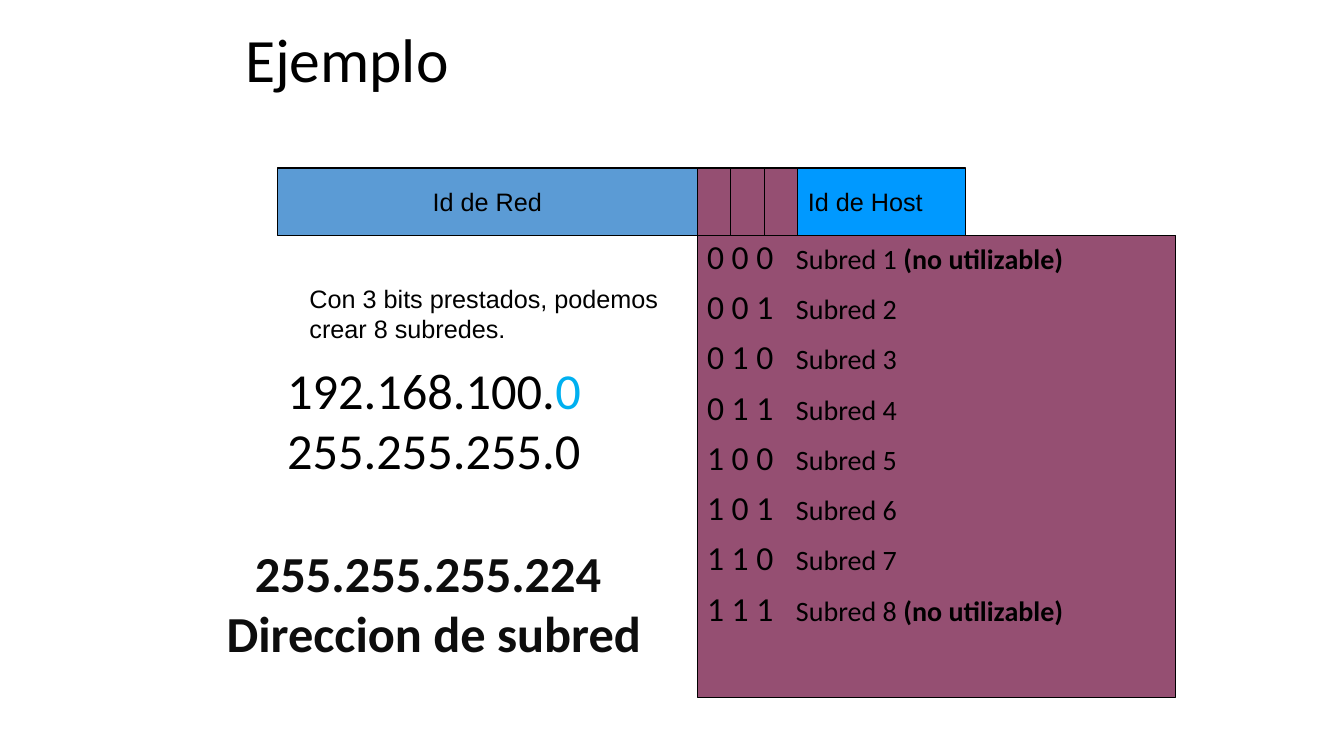
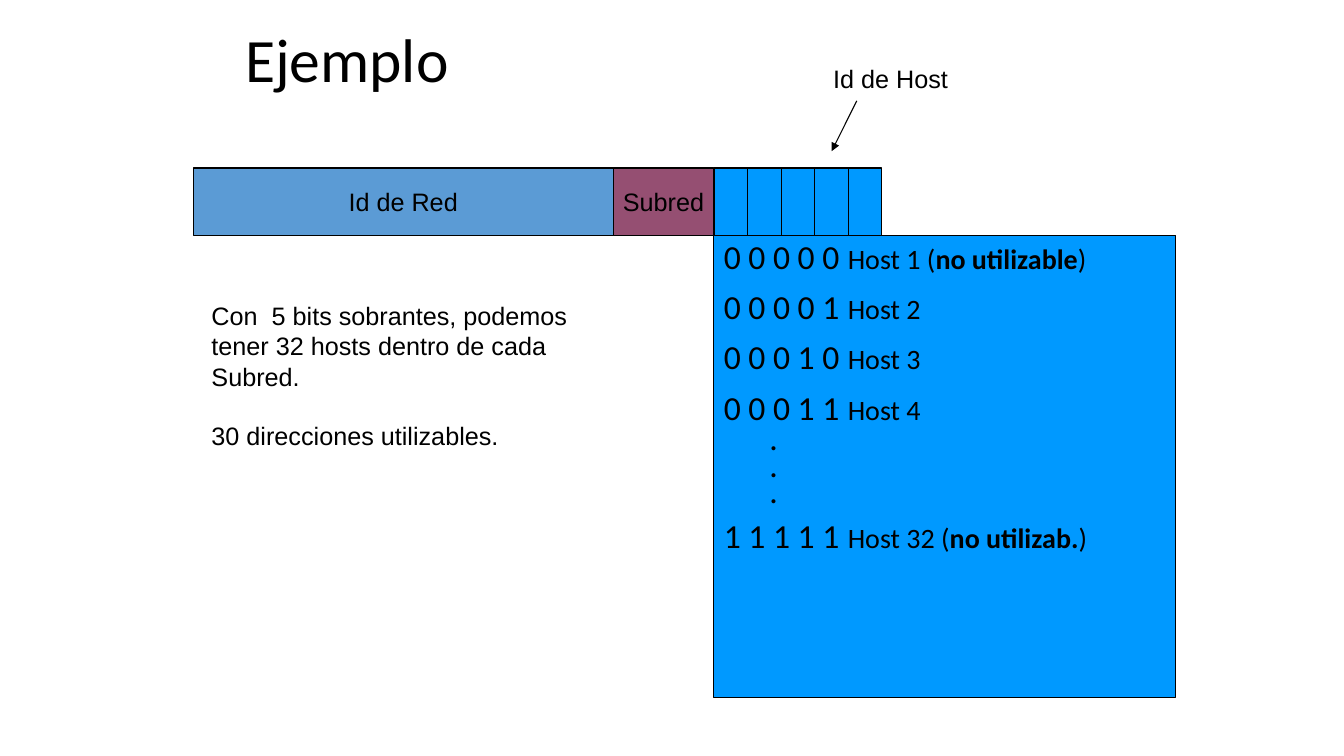
from lxml import etree
from pptx import Presentation
from pptx.dml.color import RGBColor
from pptx.enum.shapes import MSO_CONNECTOR, MSO_SHAPE
from pptx.enum.text import MSO_ANCHOR, MSO_AUTO_SIZE, PP_ALIGN
from pptx.oxml.ns import qn
from pptx.util import Pt

RECTANGLE = MSO_SHAPE.RECTANGLE
STRAIGHT = MSO_CONNECTOR.STRAIGHT
MIDDLE, TOP = MSO_ANCHOR.MIDDLE, MSO_ANCHOR.TOP
LEFT, CENTER = PP_ALIGN.LEFT, PP_ALIGN.CENTER
FIT_SHAPE = MSO_AUTO_SIZE.SHAPE_TO_FIT_TEXT

BLACK, NETWORK, SUBNET, HOST = "000000", "5B9BD5", "954F72", "0099FF"
ACCENT, DARK = "00B0F0", "0D0D0D"
HEADING_FONT, NOTE_FONT = "Calibri", "Arial"

BAR_TOP, BAR_HEIGHT, BIT_WIDTH = 120, 48, 24
NETWORK_WIDTH, PANEL_RIGHT, PANEL_HEIGHT = 300, 840, 330
DOT_INDENT = 32.5

SLIDES = [
    {
        "bar_left": 198,
        "fields": [
            ("Id de Red", NETWORK, NETWORK_WIDTH, 1, CENTER),
            ("", SUBNET, 3 * BIT_WIDTH, 3, CENTER),
            ("Id de Host", HOST, 5 * BIT_WIDTH, 1, LEFT),
        ],
        "panel_field": 1,
        "label_indent": 63.5,
        "rows": [
            ("0 0 0", [("Subred 1 ", False), ("(no utilizable)", True)]),
            ("0 0 1", [("Subred 2", False)]),
            ("0 1 0", [("Subred 3", False)]),
            ("0 1 1", [("Subred 4", False)]),
            ("1 0 0", [("Subred 5", False)]),
            ("1 0 1", [("Subred 6", False)]),
            ("1 1 0", [("Subred 7", False)]),
            ("1 1 1", [("Subred 8 ", False), ("(no utilizable)", True)]),
        ],
        "notes": [
            ((214, 199, 266, 51),
             [("Con 3 bits prestados, podemos", 0), ("crear 8 subredes.", 0)]),
        ],
        "addresses": [
            ([("192.168.100.", BLACK, False), ("0", ACCENT, False)], 0),
            ([("255.255.255.0", BLACK, False)], 0),
            ([("255.255.255.224 ", DARK, True)], 44),
            ([("Direccion de subred", DARK, True)], 0),
        ],
        "arrow": None,
    },
    {
        "bar_left": 138,
        "fields": [
            ("Id de Red", NETWORK, NETWORK_WIDTH, 1, CENTER),
            ("Subred", SUBNET, 3 * BIT_WIDTH, 1, CENTER),
            ("", HOST, 5 * BIT_WIDTH, 5, CENTER),
        ],
        "panel_field": 2,
        "label_indent": 88.5,
        "rows": [
            ("0 0 0 0 0", [("Host 1 (", False), ("no utilizable", True), (")", False)]),
            ("0 0 0 0 1", [("Host 2", False)]),
            ("0 0 0 1 0", [("Host 3", False)]),
            ("0 0 0 1 1", [("Host 4", False)]),
            (".", []),
            (".", []),
            (".", []),
            ("1 1 1 1 1", [("Host 32 (", False), ("no utilizab.", True), (")", False)]),
        ],
        "notes": [
            ((144, 211, 271, 117),
             [("Con  5 bits sobrantes, podemos", 0),
              ("tener 32 hosts dentro de cada", 0),
              ("Subred.", 0),
              ("30 direcciones utilizables.", 21)]),
            ((588, 42, 97, 29), [("Id de Host", 0)]),
        ],
        "addresses": [],
        "arrow": (612, 72, 594, 108),
    },
]


def color(value):
    return RGBColor.from_string(value)


def add_run(paragraph, text, size, font=HEADING_FONT, fill=BLACK, bold=False):
    run = paragraph.add_run()
    run.text = text
    run.font.name = font
    run.font.size = Pt(size)
    run.font.bold = bold
    run.font.color.rgb = color(fill)


def next_paragraph(frame, index):
    return frame.add_paragraph() if index else frame.paragraphs[0]


def add_text_box(slide, box):
    shape = slide.shapes.add_textbox(*map(Pt, box))
    shape.text_frame.word_wrap = False
    shape.text_frame.auto_size = FIT_SHAPE
    return shape.text_frame


def add_rectangle(slide, box, fill):
    shape = slide.shapes.add_shape(RECTANGLE, *map(Pt, box))
    shape.shadow.inherit = False
    shape.fill.solid()
    shape.fill.fore_color.rgb = color(fill)
    shape.line.color.rgb = color(BLACK)
    shape.line.width = Pt(0.75)
    return shape.text_frame


def add_line(slide, ends, arrowhead=False):
    line = slide.shapes.add_connector(STRAIGHT, *map(Pt, ends))
    line.line.color.rgb = color(BLACK)
    line.line.width = Pt(0.75)
    properties = line._element.spPr
    if arrowhead:
        etree.SubElement(properties.find(qn("a:ln")), qn("a:tailEnd"), type="triangle")
    etree.SubElement(properties, qn("a:effectLst"))


def add_title(slide, text):
    frame = slide.shapes.add_textbox(Pt(168), Pt(0), Pt(612), Pt(90)).text_frame
    frame.word_wrap = True
    frame.vertical_anchor = MIDDLE
    paragraph = frame.paragraphs[0]
    paragraph.line_spacing = 0.9
    add_run(paragraph, text, 44)


def add_panel(slide, left, fill, rows, label_indent):
    box = (left, BAR_TOP + BAR_HEIGHT, PANEL_RIGHT - left, PANEL_HEIGHT)
    frame = add_rectangle(slide, box, fill)
    frame.word_wrap = True
    frame.vertical_anchor = TOP
    for index, (bits, labels) in enumerate(rows):
        paragraph = next_paragraph(frame, index)
        paragraph.alignment = LEFT
        paragraph.space_before = Pt(10)
        paragraph.line_spacing = 0.9 if labels else 0.3
        indent = Pt(label_indent if labels else DOT_INDENT)
        properties = paragraph._p.get_or_add_pPr()
        properties.set("marL", str(indent))
        properties.set("indent", str(-indent if labels else 0))
        add_run(paragraph, bits + "\t" if labels else bits, 24)
        for text, bold in labels:
            add_run(paragraph, text, 20, bold=bold)


def add_bar(slide, left, fields):
    bottom = BAR_TOP + BAR_HEIGHT
    for text, fill, width, cells, alignment in fields:
        frame = add_rectangle(slide, (left, BAR_TOP, width, BAR_HEIGHT), fill)
        frame.word_wrap = False
        frame.vertical_anchor = MIDDLE
        if text:
            frame.paragraphs[0].alignment = alignment
            add_run(frame.paragraphs[0], text, 18, NOTE_FONT)
        for cell in range(1, cells):
            x = left + cell * width / cells
            add_line(slide, (x, BAR_TOP, x, bottom))
        left += width


def add_note(slide, box, lines):
    frame = add_text_box(slide, box)
    for index, (text, gap) in enumerate(lines):
        paragraph = next_paragraph(frame, index)
        paragraph.space_before = Pt(gap)
        add_run(paragraph, text, 18, NOTE_FONT)


def add_addresses(slide, lines):
    frame = add_text_box(slide, (153, 253, 314, 225))
    for index, (runs, gap) in enumerate(lines):
        paragraph = next_paragraph(frame, index)
        paragraph.alignment = CENTER
        paragraph.space_before = Pt(gap)
        for text, fill, bold in runs:
            add_run(paragraph, text, 36, fill=fill, bold=bold)


def build_slide(presentation, content):
    slide = presentation.slides.add_slide(presentation.slide_layouts[6])
    fields, panel_field = content["fields"], content["panel_field"]
    panel_left = content["bar_left"] + sum(field[2] for field in fields[:panel_field])
    add_title(slide, "Ejemplo")
    add_panel(slide, panel_left, fields[panel_field][1], content["rows"], content["label_indent"])
    add_bar(slide, content["bar_left"], fields)
    for box, lines in content["notes"]:
        add_note(slide, box, lines)
    if content["addresses"]:
        add_addresses(slide, content["addresses"])
    if content["arrow"]:
        add_line(slide, content["arrow"], arrowhead=True)


def main():
    presentation = Presentation()
    presentation.slide_width, presentation.slide_height = Pt(960), Pt(540)
    for content in SLIDES:
        build_slide(presentation, content)
    presentation.save("out.pptx")


if __name__ == "__main__":
    main()
